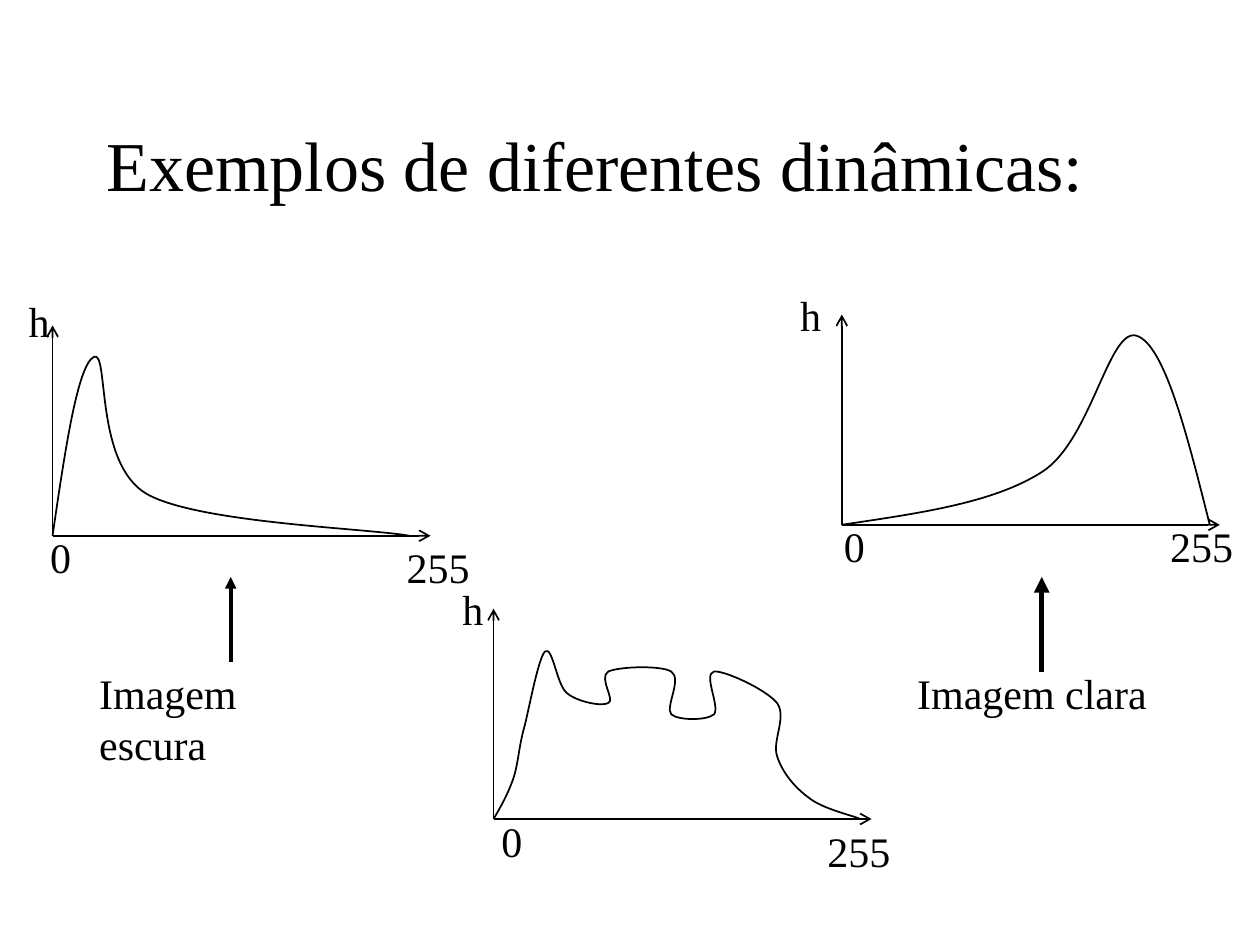
from lxml.etree import SubElement
from pptx import Presentation
from pptx.dml.color import RGBColor
from pptx.enum.shapes import MSO_CONNECTOR
from pptx.enum.text import MSO_ANCHOR, MSO_AUTO_SIZE
from pptx.oxml.ns import qn
from pptx.util import Cm, Pt

INK = "000000"
FACE = "Times New Roman"
INCH = 2.54
AXIS = (7.62, 4.24)  # axis lengths, cm

# Text, left, top, width, height (cm), format
TITLE = ("Exemplos de diferentes dinâmicas:", 1.9, 1.7, 21.6, 3.18)
NOTES = [
    ("Imagem escura", 1.75, 13.34, 5.64, 1.27),
    ("Imagem clara", 18.24, 13.34, 5.13, 1.27),
]

# Pointers: x, bottom, top (cm), line width (pt)
POINTERS = [(4.65, 13.34, 11.63, 2.25), (21.0, 13.54, 11.63, 3)]

# Graphs: origin and label corners in cm; curve as Bezier points,
# in inches right of and above the origin, three to a segment
GRAPHS = [
    {
        "origin": (1.06, 10.8),
        "labels": [("h", 0.33, 5.84), ("0", 0.76, 10.59), ("255", 7.95, 10.8)],
        "curve": [
            (0.1, 0.68), (0.2, 1.36), (0.33, 1.42),
            (0.45, 1.47), (0.33, 0.57), (0.75, 0.33),
            (1.16, 0.1), (2.48, 0.06), (2.83, 0),
        ],
    },
    {
        "origin": (16.97, 10.58),
        "labels": [("h", 15.88, 5.72), ("0", 16.76, 10.36), ("255", 23.34, 10.36)],
        "curve": [
            (0.6, 0.09), (1.2, 0.17), (1.59, 0.42),
            (1.98, 0.67), (2.12, 1.57), (2.34, 1.5),
            (2.56, 1.43), (2.74, 0.72), (2.92, 0),
        ],
    },
    {
        "origin": (9.95, 16.51),
        "labels": [("h", 9.07, 11.63), ("0", 9.86, 16.31), ("255", 16.43, 16.51)],
        "curve": [
            (0.06, 0.1), (0.12, 0.21), (0.16, 0.33),
            (0.2, 0.46), (0.2, 0.58), (0.25, 0.75),
            (0.29, 0.92), (0.36, 1.29), (0.41, 1.33),
            (0.47, 1.37), (0.5, 1.07), (0.58, 1),
            (0.66, 0.93), (0.86, 0.89), (0.91, 0.92),
            (0.97, 0.94), (0.83, 1.12), (0.91, 1.17),
            (1, 1.21), (1.33, 1.22), (1.41, 1.17),
            (1.5, 1.11), (1.36, 0.89), (1.41, 0.83),
            (1.47, 0.78), (1.69, 0.78), (1.75, 0.83),
            (1.8, 0.89), (1.66, 1.15), (1.75, 1.17),
            (1.83, 1.18), (2.16, 1.03), (2.25, 0.92),
            (2.33, 0.81), (2.21, 0.62), (2.25, 0.5),
            (2.29, 0.37), (2.39, 0.25), (2.5, 0.17),
            (2.61, 0.08), (2.84, 0.03), (2.91, 0),
        ],
    },
]


def color(code):
    return RGBColor.from_string(code)


def assign(item, form):
    for key, value in form.items():
        setattr(item, key, value)


def write(slide, text, left, top, width, height, size=24, **form):
    box = slide.shapes.add_textbox(Cm(left), Cm(top), Cm(width), Cm(height))
    frame = box.text_frame
    assign(frame, {"word_wrap": False, "auto_size": MSO_AUTO_SIZE.SHAPE_TO_FIT_TEXT} | form)
    run = frame.paragraphs[0].add_run()
    run.text = text
    assign(run.font, {"name": FACE, "size": Pt(size)})
    run.font.color.rgb = color(INK)


def stroke(shape, width):
    shape.line.width = Pt(width)
    shape.line.color.rgb = color(INK)


def arrow(slide, start, end, width=1, head="arrow"):
    ends = [Cm(value) for value in (*start, *end)]
    line = slide.shapes.add_connector(MSO_CONNECTOR.STRAIGHT, *ends)
    stroke(line, width)
    SubElement(line.line._get_or_add_ln(), qn("a:tailEnd"), type=head)
    SubElement(line._element.spPr, qn("a:effectLst"))


def curve(slide, origin, points):
    x, y = origin
    spots = [(Cm(x + INCH * dx), Cm(y - INCH * dy)) for dx, dy in points]
    pen = slide.shapes.build_freeform(Cm(x), Cm(y))
    pen.add_line_segments(spots, close=False)
    shape = pen.convert_to_shape()
    shape.shadow.inherit = False
    shape.fill.background()
    stroke(shape, 1)
    # Join each three points into one Bezier segment
    trace = shape._element.find(".//" + qn("a:path"))
    steps = trace.findall(qn("a:lnTo"))
    for first in range(0, len(steps), 3):
        bend = SubElement(trace, qn("a:cubicBezTo"))
        for step in steps[first:first + 3]:
            bend.append(step[0])
            trace.remove(step)


def main():
    deck = Presentation()
    assign(deck, {"slide_width": Cm(25.4), "slide_height": Cm(19.05)})
    slide = deck.slides.add_slide(deck.slide_layouts[6])

    # Title
    write(slide, *TITLE, size=40, word_wrap=True,
          auto_size=MSO_AUTO_SIZE.NONE, vertical_anchor=MSO_ANCHOR.MIDDLE)

    # Graphs: axes, curve, labels
    for graph in GRAPHS:
        x, y = graph["origin"]
        arrow(slide, (x, y), (x, y - AXIS[1]))
        arrow(slide, (x, y), (x + AXIS[0], y))
        curve(slide, (x, y), graph["curve"])
        for text, left, top in graph["labels"]:
            wide = 0.48 + 0.43 * len(text)
            write(slide, text, left, top, wide, 1.27)

    # Notes and their pointers
    for note in NOTES:
        write(slide, *note)
    for x, low, high, width in POINTERS:
        arrow(slide, (x, low), (x, high), width, "triangle")

    deck.save("out.pptx")


if __name__ == "__main__":
    main()
